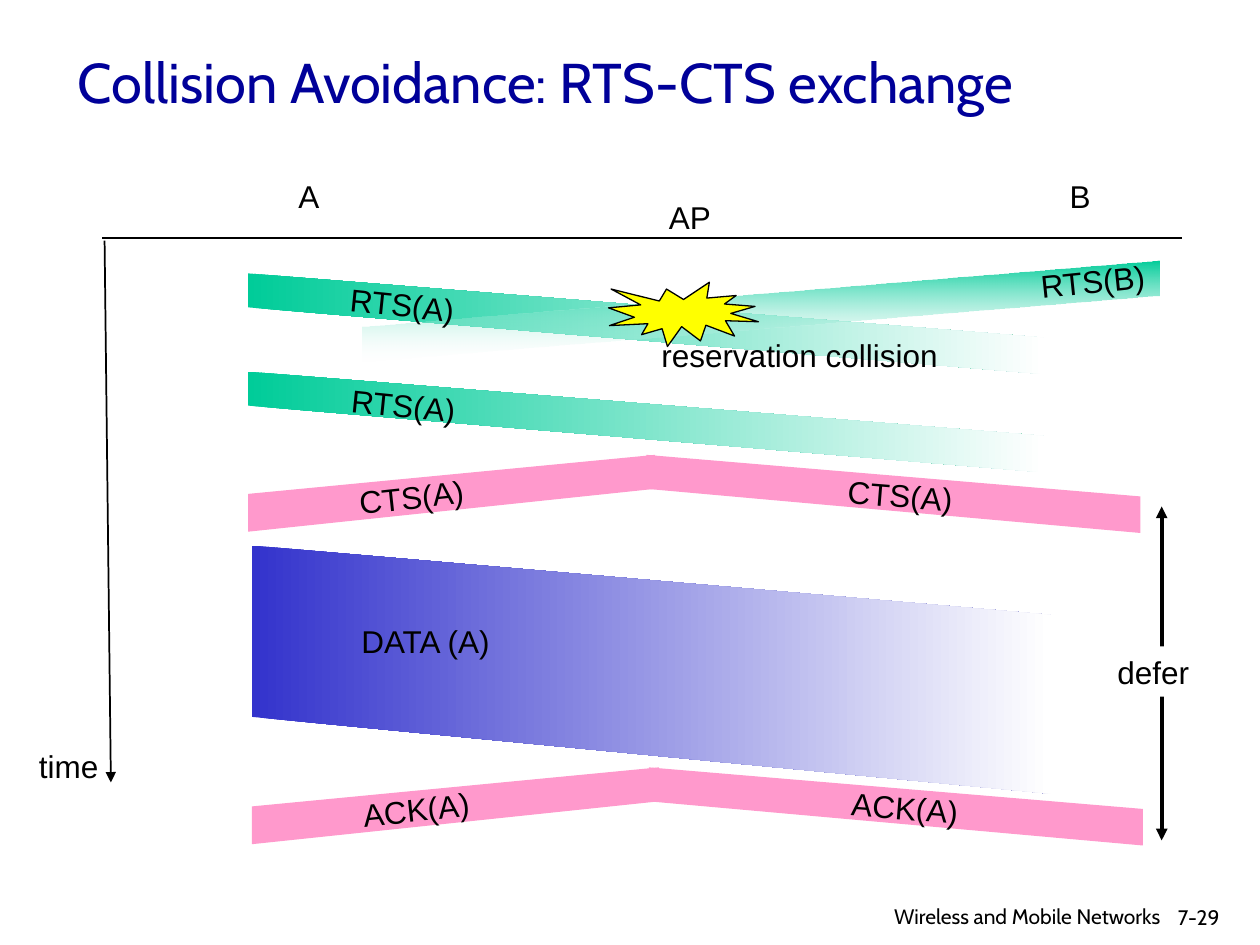
import pptx
import pptx.util
import pptx.dml.color
import pptx.enum.shapes
import pptx.enum.text
import pptx.oxml.ns
import lxml.etree

SCALE = 9144  # EMU per px, 100 px to the inch
COLORS = {
    "title": "000099",
    "ink": "000000",
    "paper": "FFFFFF",
    "request": "00CC99",
    "reply": "FF99CC",
    "data": "3333CC",
    "burst": "FFFF00",
}
SHAPES = pptx.enum.shapes.MSO_SHAPE
ALIGN = pptx.enum.text.PP_ALIGN
ANCHOR = pptx.enum.text.MSO_ANCHOR
qn = pptx.oxml.ns.qn


def px(*values):
    return [pptx.util.Emu(round(value * SCALE)) for value in values]


def color(name):
    return pptx.dml.color.RGBColor.from_string(COLORS[name])


def write(page, text, box, size=18, font="Arial", ink="ink", align=ALIGN.LEFT,
          anchor=ANCHOR.TOP, wrap=False, turn=0, fill=None):
    if fill:
        shape = page.shapes.add_shape(SHAPES.RECTANGLE, *px(*box))
        shape.shadow.inherit = False
        shape.fill.solid()
        shape.fill.fore_color.rgb = color(fill)
        shape.line.fill.background()
    else:
        shape = page.shapes.add_textbox(*px(*box))
    shape.rotation = turn
    frame = shape.text_frame
    frame.word_wrap = wrap
    frame.vertical_anchor = anchor
    para = frame.paragraphs[0]
    para.alignment = align
    span = para.add_run()
    span.text = text
    span.font.size = pptx.util.Pt(size)
    span.font.name = font
    span.font.color.rgb = color(ink)


def draw_line(page, start, end, width, heads=()):
    line = page.shapes.add_connector(
        pptx.enum.shapes.MSO_CONNECTOR.STRAIGHT, *px(*start, *end))
    line.line.color.rgb = color("ink")
    line.line.width = pptx.util.Pt(width)
    stroke = line.line._get_or_add_ln()
    for head in heads:
        lxml.etree.SubElement(stroke, qn(f"a:{head}"), type="triangle")
    lxml.etree.SubElement(line._element.spPr, qn("a:effectLst"))


def draw_band(page, box, drop, thick, fill, fade=None, end_alpha=None, mirror=False):
    """Slanted band; fade is the gradient angle, mirror starts it at the right."""
    left, top, width, height = box
    near, far = (left + width, left) if mirror else (left, left + width)
    builder = page.shapes.build_freeform(near, top, scale=float(SCALE))
    builder.add_line_segments(
        [(far, top + drop), (far, top + height), (near, top + thick)], close=True)
    band = builder.convert_to_shape()
    band.shadow.inherit = False
    band.line.fill.background()
    if fade is None:
        band.fill.solid()
        band.fill.fore_color.rgb = color(fill)
        return
    band.fill.gradient()
    band.fill.gradient_angle = fade
    for stop, name, position in zip(band.fill.gradient_stops, (fill, "paper"), (0, 1)):
        stop.color.rgb = color(name)
        stop.position = position
    if end_alpha is not None:
        last = band._element.spPr.findall(".//" + qn("a:srgbClr"))[-1]
        lxml.etree.SubElement(last, qn("a:alpha"), val=str(end_alpha * 1000))


def draw_axes(page, left, top, width, height):
    for text, x, y, wide in (("AP", 440, -37, 54), ("A", 146, -53, 38), ("B", 758, -53, 37)):
        write(page, text, (left + x, top + y, wide, 40))
    draw_line(page, (left + 2, top + 2), (left + 7, top + height), 1, ["tailEnd"])
    write(page, "time", (left - 60, top + height - 33, 68, 40))
    draw_line(page, (left, top), (left + width, top), 0.75)


def draw_collision(page, left, top, width, height):
    # Both requests cross before either label is laid on top
    draw_band(page, (left, top + 10, 632, height), 51, 27, "request", fade=0)
    draw_band(page, (left + width - 632, top, 632, height), 52, 28, "request",
              fade=270, end_alpha=6, mirror=True)
    write(page, "RTS(A)", (left + 71, top + 15, 107, 40), turn=5.9)
    write(page, "RTS(B)", (left + width - 104, top - 4, 104, 40), turn=354.1)
    burst = page.shapes.add_shape(
        SHAPES.EXPLOSION1, *px(left + 286, top + 17, 119, 51))
    burst.shadow.inherit = False
    burst.fill.solid()
    burst.fill.fore_color.rgb = color("burst")
    burst.line.color.rgb = color("ink")
    burst.line.width = pptx.util.Pt(0.75)
    write(page, "reservation collision", (left + 318, top + 55, 309, 40), wrap=True)


def draw_request(page, left, top, width, height):
    draw_band(page, (left, top, width, height), 51, 27, "request", fade=0)
    write(page, "RTS(A)", (left + 72, top + 7, 107, 40), turn=5.9)


def draw_data(page, left, top, width, height):
    draw_band(page, (left, top, width, height), 55, 136, "data", fade=0)
    write(page, "DATA (A)", (left + 77, top + 56, 197, 40), wrap=True)


def draw_reply(page, text, left, top, width, height):
    """Reply spreading both ways from the access point."""
    draw_band(page, (left + width - 392, top, 392, height), 33, 27, "reply")
    draw_band(page, (left, top, 323, height - 1), 31, 27, "reply", mirror=True)
    write(page, text, (left + 78, top + 13, 106, 40), turn=353.7)
    write(page, text, (left + 466, top + 12, 106, 40), turn=4.6)


def draw_defer(page, left, top, width, height):
    middle = left + 45
    draw_line(page, (middle, top), (middle, top + height), 2.25, ["headEnd", "tailEnd"])
    write(page, "defer", (left, top + 111, width, 40), fill="paper")


def draw_footer(page, left, top, width, height):
    write(page, "7-29", (left + width - 75, top + 1, 75, height), size=12,
          font="Cabin", wrap=True)
    write(page, "Wireless and Mobile Networks", (left, top, 291, height), size=12,
          font="Cabin", align=ALIGN.RIGHT, wrap=True)


def main():
    deck = pptx.Presentation()
    deck.slide_width, deck.slide_height = px(1000, 750)
    page = deck.slides.add_slide(deck.slide_layouts[6])
    write(page, "Collision Avoidance: RTS-CTS exchange", (52, 13, 850, 103), size=32,
          font="Cabin", ink="title", anchor=ANCHOR.MIDDLE, wrap=True)
    draw_axes(page, 81, 189, 857, 432)
    draw_collision(page, 197, 207, 723, 80)
    draw_request(page, 197, 295, 632, 80)
    draw_reply(page, "CTS(A)", 197, 361, 708, 62)
    draw_data(page, 200, 433, 634, 197)
    draw_reply(page, "ACK(A)", 200, 609, 707, 62)
    draw_defer(page, 877, 402, 78, 265)
    draw_footer(page, 640, 712, 360, 28)
    deck.save("out.pptx")


if __name__ == "__main__":
    main()
